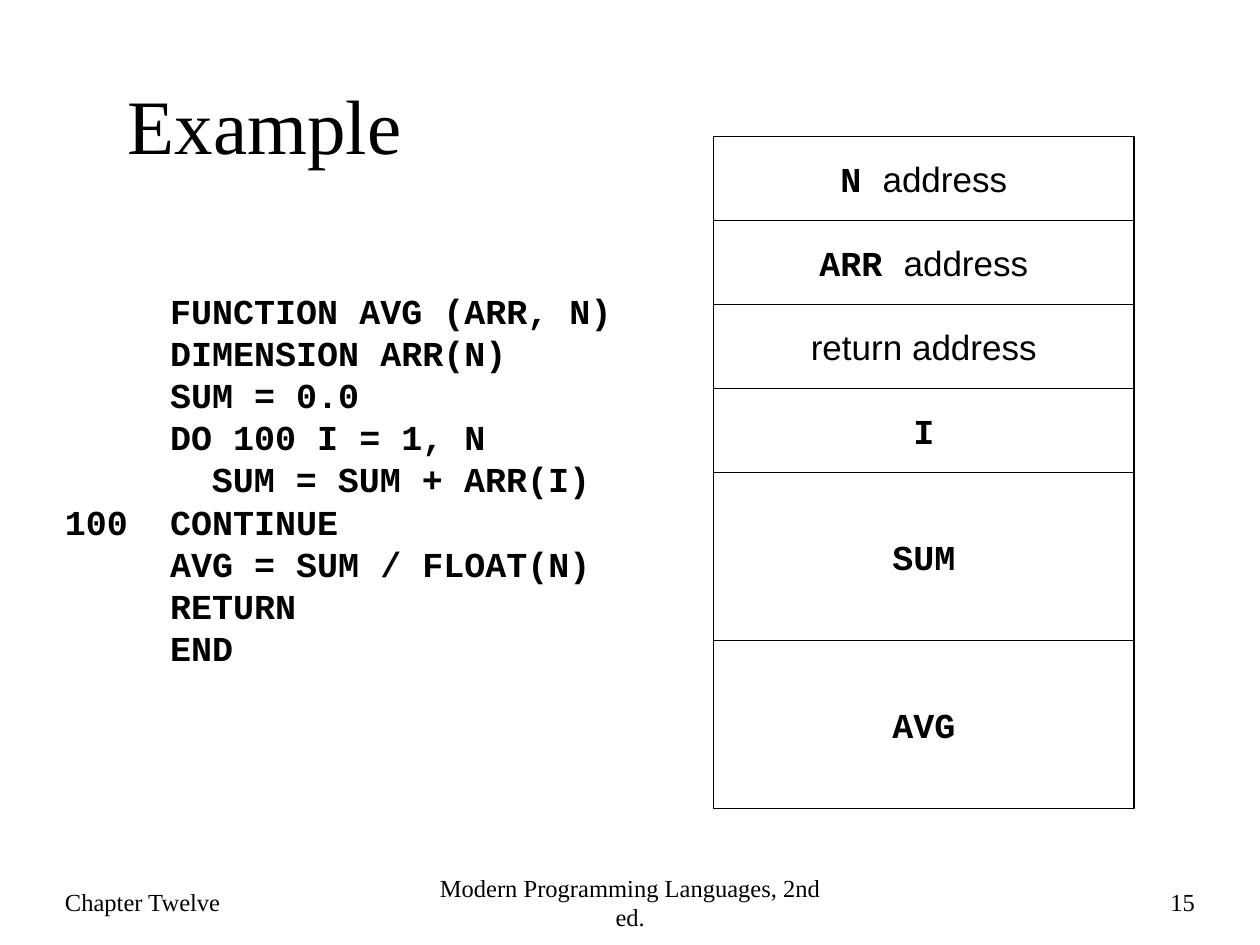
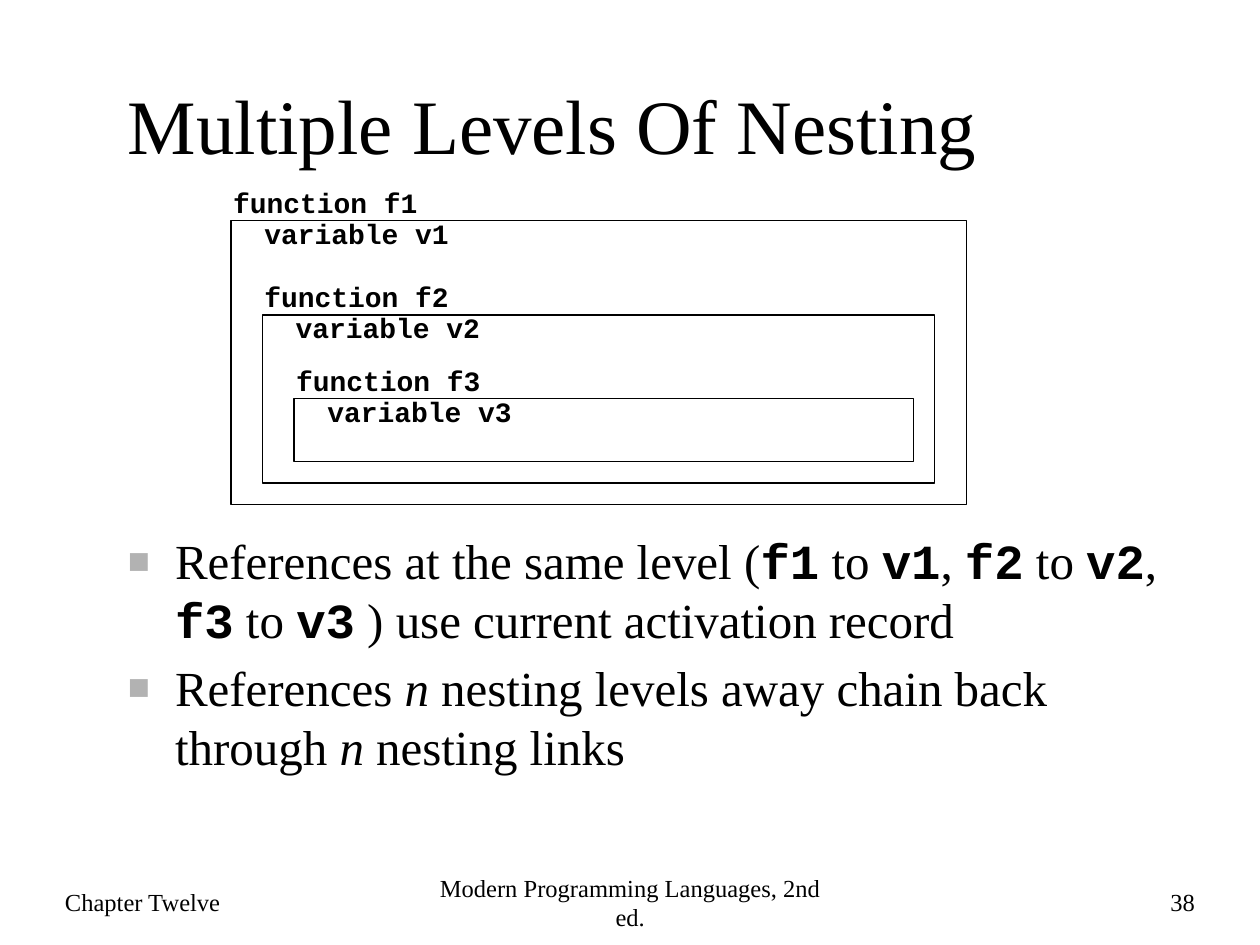
from dataclasses import dataclass
from typing import NamedTuple

from lxml.etree import SubElement
from pptx import Presentation
from pptx.dml.color import RGBColor as Rgb
from pptx.enum.shapes import MSO_SHAPE as Shape
from pptx.enum.text import MSO_ANCHOR as Anchor, PP_ALIGN as Align
from pptx.oxml.ns import qn
from pptx.util import Cm, Pt

# Shared look
BLACK, WHITE, GRAY = "000000", "FFFFFF", "B2B2B2"
SERIF, SANS, MONO = "Times New Roman", "Arial", "Courier New"
PITCH = 1.2  # line height per point of type


class Run(NamedTuple):
    text: str
    face: str = SERIF
    bold: bool = False
    slant: bool = False


@dataclass
class Para:
    runs: list[Run]
    size: float
    align: Align = Align.LEFT
    left: float = 0  # cm
    hang: float = 0  # cm
    before: float = 0  # points
    mark: bool = False


@dataclass
class Box:
    left: float
    top: float
    width: float
    height: float

    def lengths(self) -> list[Cm]:
        return [Cm(v) for v in (self.left, self.top, self.width, self.height)]


def color(code: str) -> Rgb:
    return Rgb.from_string(code)


def code(text: str) -> Run:
    return Run(text, MONO, bold=True)


def add_mark(props) -> None:
    """Give a paragraph its gray square bullet."""
    tint = SubElement(props, qn("a:buClr"))
    SubElement(tint, qn("a:srgbClr"), val=GRAY)
    SubElement(props, qn("a:buSzPct"), val="75000")
    SubElement(props, qn("a:buFont"), typeface=SANS)
    SubElement(props, qn("a:buChar"), char="■")


def fill_text(shape, paras: list[Para], anchor=Anchor.TOP, wrap: bool = True) -> None:
    frame = shape.text_frame
    frame.word_wrap = wrap
    frame.vertical_anchor = anchor
    for i, para in enumerate(paras):
        line = frame.add_paragraph() if i else frame.paragraphs[0]
        line.alignment = para.align
        line.line_spacing = Pt(PITCH * para.size)
        line.space_before = Pt(para.before)
        props = line._p.get_or_add_pPr()
        props.set("marL", str(Cm(para.left)))
        props.set("indent", str(-Cm(para.hang)))
        if para.mark:
            add_mark(props)
        for part in para.runs:
            run = line.add_run()
            run.text = part.text
            font = run.font
            font.name, font.size = part.face, Pt(para.size)
            font.bold, font.italic = part.bold, part.slant
            font.color.rgb = color(BLACK)


def add_text(slide, box: Box, paras: list[Para], anchor=Anchor.TOP,
             wrap: bool = True) -> None:
    fill_text(slide.shapes.add_textbox(*box.lengths()), paras, anchor, wrap)


def add_rect(slide, box: Box, fill: str | None = None):
    rect = slide.shapes.add_shape(Shape.RECTANGLE, *box.lengths())
    rect.shadow.inherit = False
    if fill:
        rect.fill.solid()
        rect.fill.fore_color.rgb = color(fill)
    else:
        rect.fill.background()
    rect.line.color.rgb = color(BLACK)
    rect.line.width = Pt(0.75)
    return rect


def add_page(deck, title: str, page: int):
    """Blank slide with the shared title and footer."""
    slide = deck.slides.add_slide(deck.slide_layouts[6])
    add_text(slide, Box(2.33, 0.96, 21.59, 3.07), [Para([Run(title)], 44)],
             Anchor.MIDDLE)
    feet = [
        (1.06, 5.72, "Chapter Twelve", Align.LEFT),
        (8.47, 8.47, "Modern Programming Languages, 2nd ed.", Align.CENTER),
        (19.05, 5.29, str(page), Align.RIGHT),
    ]
    for left, width, text, align in feet:
        add_text(slide, Box(left, 17.55, width, 1.27),
                 [Para([Run(text)], 14, align)], Anchor.MIDDLE,
                 wrap=align != Align.CENTER)
    return slide


deck = Presentation()
deck.slide_width, deck.slide_height = Cm(25.4), Cm(19.05)

# Slide 1: source code beside its activation record
slide = add_page(deck, "Example", 15)

STEM = 2.12  # five columns of code
NEST = 2.96  # seven columns
lines = [
    ("FUNCTION AVG (ARR, N)", STEM, 0),
    ("DIMENSION ARR(N)", STEM, 0),
    ("SUM = 0.0", STEM, 0),
    ("DO 100 I = 1, N", STEM, 0),
    ("SUM = SUM + ARR(I)", NEST, 0),
    ("100\tCONTINUE", STEM, STEM),
    ("AVG = SUM / FLOAT(N)", STEM, 0),
    ("RETURN", STEM, 0),
    ("END", STEM, 0),
]
add_text(slide, Box(1.06, 5.72, 12.07, 7.87),
         [Para([code(text)], 20, left=left, hang=hang)
          for text, left, hang in lines])

WORD = 5.08 / 3  # height of one memory word
cells = [
    ([code("N "), Run("address", SANS)], 1),
    ([code("ARR "), Run("address", SANS)], 1),
    ([Run("return address", SANS)], 1),
    ([code("I")], 1),
    ([code("SUM")], 2),
    ([code("AVG")], 2),
]
top = 2.75
for runs, words in cells:
    rect = add_rect(slide, Box(14.39, top, 8.47, words * WORD))
    fill_text(rect, [Para(runs, 20, Align.CENTER)], Anchor.MIDDLE)
    top += words * WORD

# Slide 2: nested scopes above the rules for references
slide = add_page(deck, "Multiple Levels Of Nesting", 38)

same = [Run("References at the same level (")]
for n, tail in enumerate([", ", ", ", " ) use current activation record"], 1):
    same += [code(f"f{n}"), Run(" to "), code(f"v{n}"), Run(tail)]
away = [
    Run("References "), Run("n", slant=True),
    Run(" nesting levels away chain back through "),
    Run("n", slant=True), Run(" nesting links"),
]
add_text(slide, Box(2.33, 10.58, 21.59, 5.72),
         [Para(runs, 28, left=0.95, hang=0.95, before=5, mark=True)
          for runs in (same, away)])

scopes = [
    Box(4.66, 4.45, 14.82, 5.72),
    Box(5.29, 6.35, 13.55, 3.39),
    Box(5.93, 8.04, 12.49, 1.27),
]
for n, box in enumerate(scopes, 1):
    add_rect(slide, box, WHITE)
    labels = [(f"function f{n}", -0.21, -0.83), (f"variable v{n}", 0.42, -0.21)]
    for text, right, down in labels:
        add_text(slide, Box(box.left + right, box.top + down, 6.77, 0.94),
                 [Para([code(text)], 16)])

deck.save("out.pptx")
